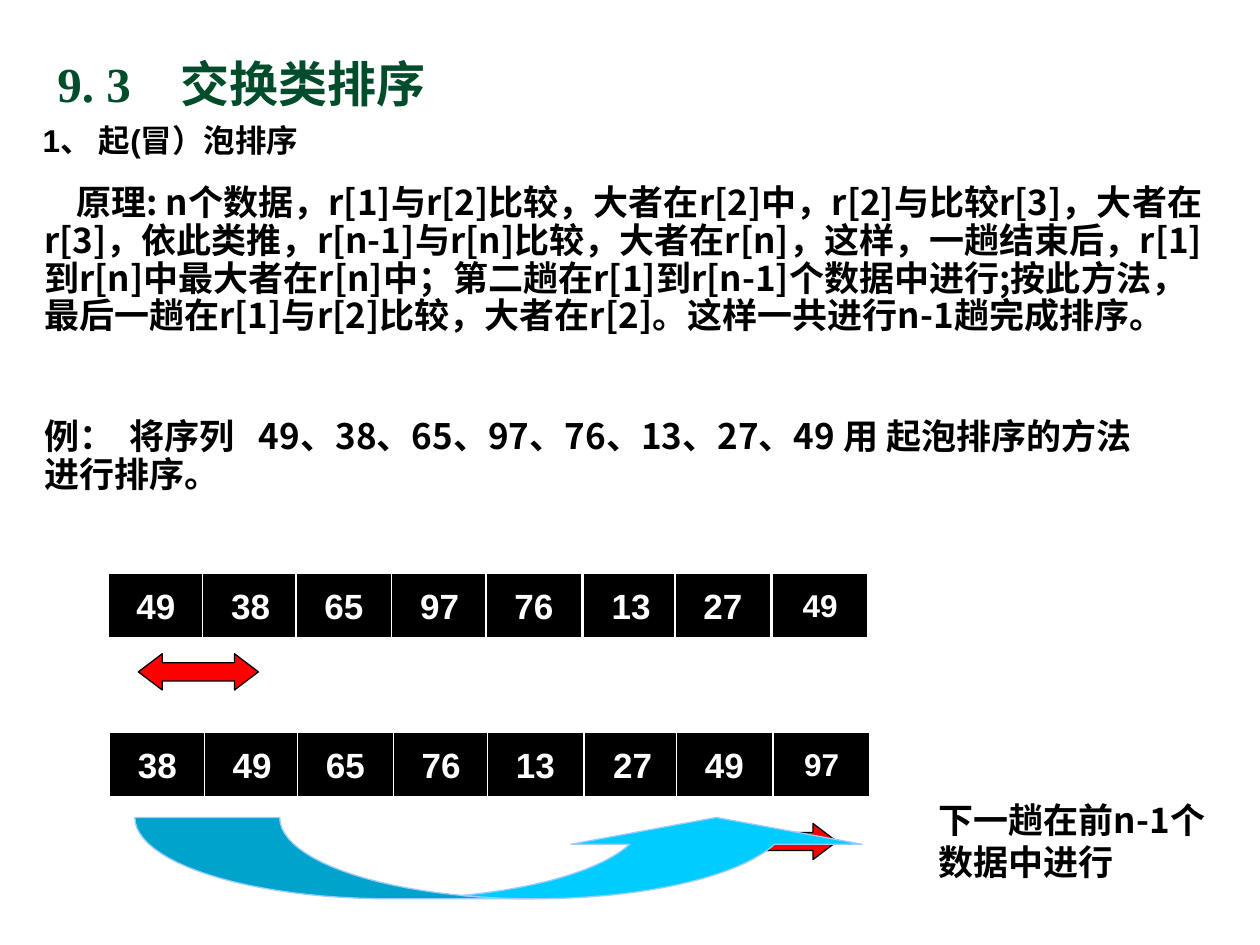
"""Build the bubble sort slide of the chapter on exchange sorting."""
import math

from lxml import etree
from pptx import Presentation
from pptx import util as u
from pptx.dml.color import RGBColor
from pptx.enum import shapes, text
from pptx.oxml.ns import qn

CJK = "Noto Sans CJK SC"
LEFTS = [2.18, 4.09, 5.97, 7.9, 9.8, 11.76, 13.61, 15.57]
ROWS = [
    (0, 11.55, ["49", "38", "65", "97", "76", "13", "27", "49"]),
    (0.03, 14.76, ["38", "49", "65", "76", "13", "27", "49", "97"]),
]


def rgb(value):
    return RGBColor.from_string(value)


def arc(cx, cy, rx, ry, start, end, steps=24):
    angles = [math.radians(start + (end - start) * i / steps) for i in range(steps + 1)]
    return [(cx + rx * math.cos(a), cy + ry * math.sin(a)) for a in angles]


class Deck:
    def __init__(self, prs):
        self.s = prs.slides.add_slide(prs.slide_layouts[6])
        self.base = {"size": u.Pt(20), "bold": True, "name": CJK}

    def paint(self, sp, fill, line):
        sp.shadow.inherit = False
        sp.fill.solid()
        sp.fill.fore_color.rgb = rgb(fill)
        sp.line.color.rgb = rgb(line)
        sp.line.width = u.Pt(0.75)

    def run(self, p, content, color, **style):
        r = p.add_run()
        r.text = content
        for key, value in {**self.base, **style}.items():
            setattr(r.font, key, value)
        r.font.color.rgb = rgb(color)
        ea = etree.Element(qn("a:ea"), typeface=CJK)
        r.font._element.find(qn("a:latin")).addnext(ea)

    def label(self, box, runs, color="000000", fit=True, spacing=None, indent=0, tabs=()):
        sp = self.s.shapes.add_textbox(*map(u.Cm, box))
        tf = sp.text_frame
        tf.word_wrap = True
        if fit:
            tf.auto_size = text.MSO_AUTO_SIZE.SHAPE_TO_FIT_TEXT
        else:
            tf.vertical_anchor = text.MSO_ANCHOR.MIDDLE
        p = tf.paragraphs[0]
        ppr = p._p.get_or_add_pPr()
        if indent:
            ppr.set("indent", str(u.Cm(indent)))
        if tabs:
            stops = etree.SubElement(ppr, qn("a:tabLst"))
            for pos in tabs:
                etree.SubElement(stops, qn("a:tab"), pos=str(u.Cm(pos)), algn="l")
        if spacing:
            p.line_spacing = spacing
        for content, style in runs:
            self.run(p, content, color, **style)

    def row(self, shift, top, values):
        group = self.s.shapes.add_group_shape()
        for i, (left, value) in enumerate(zip(LEFTS, values)):
            box = map(u.Cm, (left + shift, top, 1.93, 1.3))
            sp = group.shapes.add_shape(shapes.MSO_SHAPE.RECTANGLE, *box)
            self.paint(sp, "000000", "FFFFFF")
            tf = sp.text_frame
            tf.word_wrap = False
            tf.vertical_anchor = text.MSO_ANCHOR.MIDDLE
            p = tf.paragraphs[0]
            p.alignment = text.PP_ALIGN.CENTER
            size = 18 if i == len(values) - 1 else 20
            self.run(p, value, "FFFFFF", name="Arial", size=u.Pt(size))

    def swap_arrow(self, left, top):
        box = map(u.Cm, (left, top, 2.42, 0.73))
        sp = self.s.shapes.add_shape(shapes.MSO_SHAPE.LEFT_RIGHT_ARROW, *box)
        sp.adjustments[1] = 0.66
        self.paint(sp, "FF0000", "000000")

    def outline(self, points, fill):
        pts = [(u.Cm(x), u.Cm(y)) for x, y in points]
        fb = self.s.shapes.build_freeform(*pts[0])
        fb.add_line_segments(pts[1:], close=True)
        self.paint(fb.convert_to_shape(), fill, "99CCFF")

    def curved_arrow(self, left, top, rx, ry, shaft, head_width, head_height):
        near, far = left + rx, left + rx + shaft
        tip = far + rx - shaft / 2
        base = top + head_height
        rise = math.degrees(math.asin(head_height / ry))
        cross = 180 - math.degrees(math.acos(shaft / 2 / rx))
        tail = arc(near, top, rx, ry, 180, 90) + arc(far, top, rx, ry, 90, 180)
        head = [(tip + head_width / 2, base), (tip, top), (tip - head_width / 2, base)]
        body = arc(far, top, rx, ry, cross, 90) + arc(far, top, rx, ry, 90, rise)
        self.outline(tail, "00A3CC")
        self.outline(body + head + arc(near, top, rx, ry, rise, 180 - cross), "00CCFF")


def main():
    prs = Presentation()
    prs.slide_width, prs.slide_height = u.Cm(25.4), u.Cm(19.05)
    d = Deck(prs)
    d.label((0.61, 2.31, 7.52, 1.02), [("1、 起(冒）泡排序", {"name": "Arial", "size": u.Pt(18)})])
    d.label((0.64, 3.61, 23.98, 4.06), [(
        "原理: n个数据，r[1]与r[2]比较，大者在r[2]中，r[2]与比较r[3]，大者在r[3]，"
        "依此类推，r[n-1]与r[n]比较，大者在r[n]，这样，一趟结束后，r[1]到r[n]中最大者在r[n]中；"
        "第二趟在r[1]到r[n-1]个数据中进行;按此方法，最后一趟在r[1]与r[2]比较，大者在r[2]。"
        "这样一共进行n-1趟完成排序。", {})], spacing=0.9, indent=0.65)
    d.label((0.64, 8.33, 22.99, 1.78), [
        ("例：\t", {"name": "Arial"}),
        ("将序列\t49、38、65、97、76、13、27、49 用 起泡排序的方法进行排序。", {}),
    ], spacing=0.9, tabs=(1.73, 4.33))
    for shift, top, values in ROWS:
        d.row(shift, top, values)
    d.swap_arrow(2.79, 13.18)
    d.swap_arrow(14.45, 16.6)
    d.curved_arrow(2.72, 16.48, 5.13, 1.64, 2.92, 5.87, 0.54)
    d.label((18.67, 15.98, 6.07, 1.96), [("下一趟在前n-1个数据中进行", {})])
    d.label((0.91, 0.81, 12.42, 1.73), [
        ("9. 3\t交换类排序", {"name": "Times New Roman", "size": u.Pt(28)}),
    ], color="004C2B", fit=False, tabs=(2.48,))
    prs.save("out.pptx")


if __name__ == "__main__":
    main()
